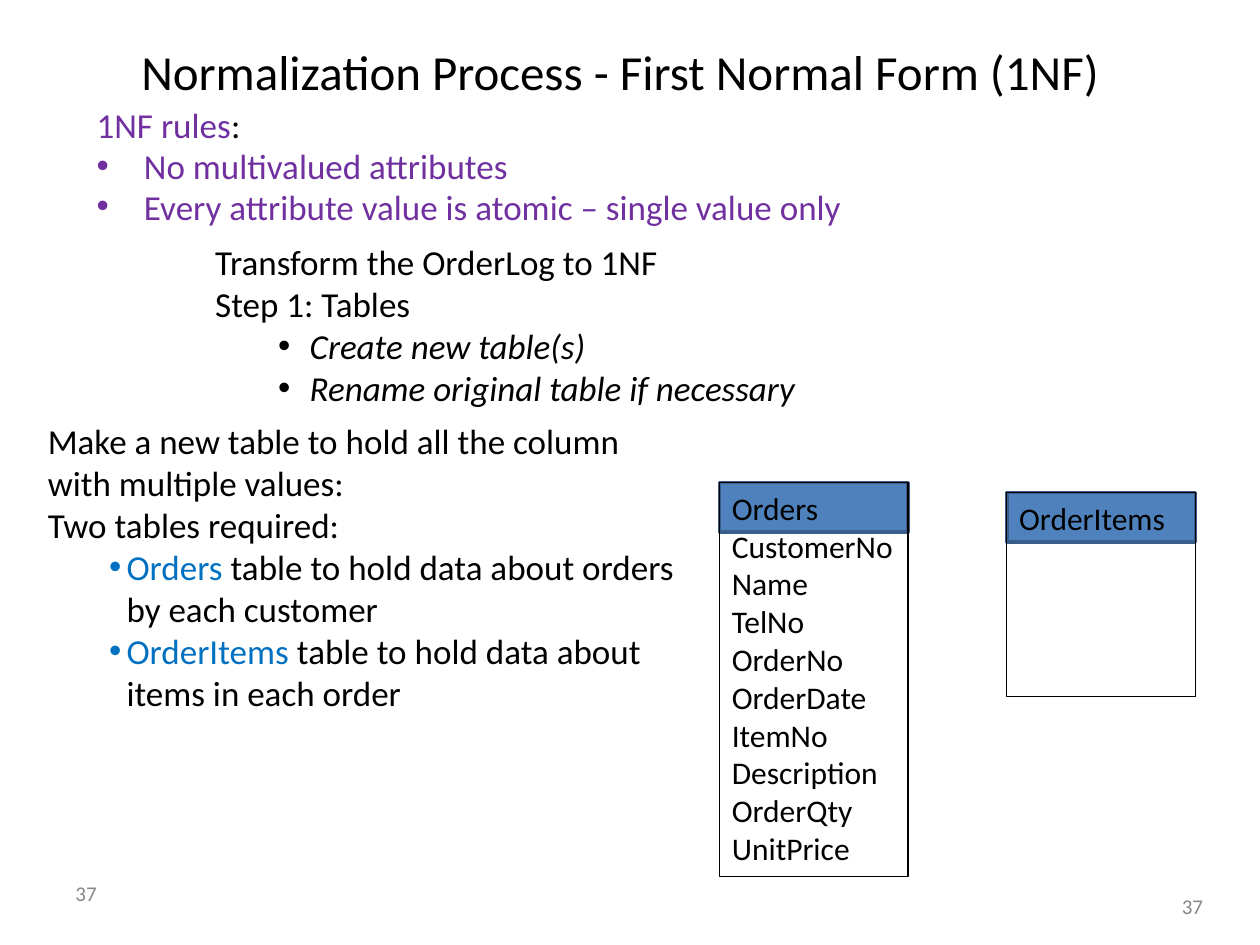
import pptx
import pptx.util
import pptx.dml.color
import pptx.enum.shapes
import pptx.enum.text
import pptx.oxml.ns
import lxml.etree

Pt = pptx.util.Pt
RGBColor = pptx.dml.color.RGBColor
ALIGN = pptx.enum.text.PP_ALIGN
ANCHOR = pptx.enum.text.MSO_ANCHOR
RECTANGLE = pptx.enum.shapes.MSO_SHAPE.RECTANGLE
qn = pptx.oxml.ns.qn

BLACK = RGBColor(0x00, 0x00, 0x00)
GRAY = RGBColor(0x88, 0x88, 0x88)
PURPLE = RGBColor(0x70, 0x30, 0xA0)
BLUE = RGBColor(0x00, 0x70, 0xC0)
HEADER_FILL = RGBColor(0x4F, 0x81, 0xBD)
HEADER_LINE = RGBColor(0x39, 0x5E, 0x89)

FONT = "Calibri"
HEADER_HEIGHT = 28.1
TABLE_WIDTH = 107.75

TITLE = "Normalization Process - First Normal Form (1NF)"
RULES_HEADING = [[("1NF rules", PURPLE), (":", BLACK)]]
RULES = ["No multivalued attributes", "Every attribute value is atomic – single value only"]
STEP = ["Transform the OrderLog to 1NF", "Step 1: Tables"]
STEP_ACTIONS = ["Create new table(s)", "Rename original table if necessary"]
SPLIT = ["Make a new table to hold all the column with multiple values:", "Two tables required:"]
SPLIT_TABLES = [
    [("Orders", BLUE), (" table to hold data about orders by each customer", BLACK)],
    [("OrderItems", BLUE), (" table to hold data about items in each order", BLACK)],
]
TABLES = [
    (411.1, 275.8, 225.2, ["Orders", "CustomerNo", "Name", "TelNo", "OrderNo", "OrderDate",
                           "ItemNo", "Description", "OrderQty", "UnitPrice"]),
    (575.3, 281.5, 116.6, ["OrderItems"]),
]
PAGE_NUMBERS = [((36, 491.8, 426.2, 37.4), ALIGN.LEFT), ((660.2, 506.2, 42.5, 23), ALIGN.CENTER)]


def write(frame, paragraphs, size=20, color=BLACK, italic=False, align=ALIGN.LEFT,
          anchor=ANCHOR.TOP, level=0, margin=0, indent=0, bullet=None,
          line_spacing=None, space_before=0):
    frame.word_wrap = True
    frame.vertical_anchor = anchor
    for content in paragraphs:
        started = bool(frame.paragraphs[0].runs)
        paragraph = frame.add_paragraph() if started else frame.paragraphs[0]
        paragraph.alignment = align
        paragraph.level = level
        properties = paragraph._p.get_or_add_pPr()
        properties.set("marL", str(Pt(margin)))
        properties.set("indent", str(Pt(indent)))
        if bullet is None:
            lxml.etree.SubElement(properties, qn("a:buNone"))
        else:
            bullet_color = lxml.etree.SubElement(properties, qn("a:buClr"))
            lxml.etree.SubElement(bullet_color, qn("a:srgbClr"), val=str(bullet))
            lxml.etree.SubElement(properties, qn("a:buFont"), typeface="Arial")
            lxml.etree.SubElement(properties, qn("a:buChar"), char="•")
        if line_spacing:
            paragraph.line_spacing = line_spacing
        paragraph.space_before = Pt(space_before if started else 0)
        for words, run_color in [(content, color)] if isinstance(content, str) else content:
            run = paragraph.add_run()
            run.text = words
            run.font.name = FONT
            run.font.size = Pt(size)
            run.font.italic = italic
            run.font.color.rgb = run_color


def add_rectangle(shapes, left, top, height, line, line_width, fill=None):
    rectangle = shapes.add_shape(RECTANGLE, Pt(left), Pt(top), Pt(TABLE_WIDTH), Pt(height))
    rectangle.shadow.inherit = False
    rectangle.line.color.rgb = line
    rectangle.line.width = Pt(line_width)
    if fill is None:
        rectangle.fill.background()
    else:
        rectangle.fill.solid()
        rectangle.fill.fore_color.rgb = fill
    return rectangle


def add_frame(slide, *box):
    return slide.shapes.add_textbox(*map(Pt, box)).text_frame


def main():
    deck = pptx.Presentation()
    deck.slide_width, deck.slide_height = Pt(720), Pt(540)
    slide = deck.slides.add_slide(deck.slide_layouts[5])

    title = slide.shapes.title
    title.left, title.top, title.width, title.height = map(Pt, (48.2, 15.1, 612, 51.1))
    write(title.text_frame, [TITLE], size=28, align=ALIGN.CENTER, anchor=ANCHOR.MIDDLE)

    rules = add_frame(slide, 48.2, 60.5, 612, 79.2)
    write(rules, RULES_HEADING, margin=27, indent=-27, line_spacing=0.8)
    write(rules, RULES, color=PURPLE, margin=27, indent=-27, bullet=PURPLE,
          line_spacing=0.8, space_before=4)

    step = add_frame(slide, 115.9, 133.9, 583.9, 104.4)
    write(step, STEP)
    write(step, STEP_ACTIONS, italic=True, level=1, margin=54, indent=-18, bullet=BLACK)

    split = add_frame(slide, 20.2, 236.2, 380.2, 177.1)
    write(split, SPLIT)
    write(split, SPLIT_TABLES, level=1, margin=45, indent=-10, bullet=BLUE)

    for left, top, height, names in TABLES:
        table = slide.shapes.add_group_shape().shapes
        add_rectangle(table, left, top, HEADER_HEIGHT, HEADER_LINE, 2, HEADER_FILL)
        outline = add_rectangle(table, left, top, height, BLACK, 0.75)
        write(outline.text_frame, names, size=18)

    for box, align in PAGE_NUMBERS:
        write(add_frame(slide, *box), ["37"], size=12, color=GRAY, align=align,
              anchor=ANCHOR.MIDDLE)

    deck.save("out.pptx")


if __name__ == "__main__":
    main()
